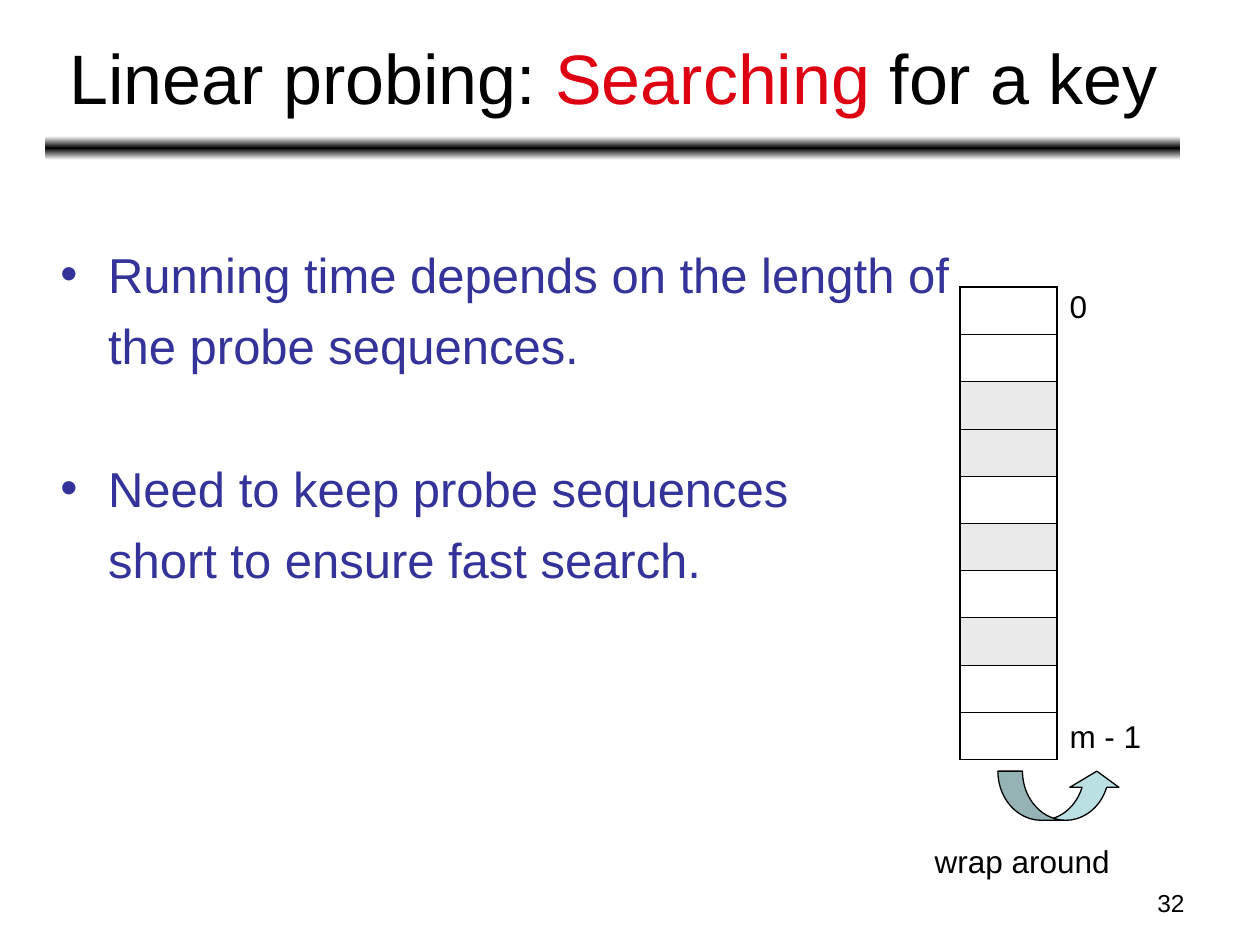
from copy import deepcopy
from lxml.etree import SubElement
from pptx import Presentation
from pptx.dml.color import RGBColor
from pptx.enum.shapes import MSO_SHAPE
from pptx.enum.text import MSO_ANCHOR, PP_ALIGN
from pptx.oxml.ns import qn
from pptx.util import Inches, Pt

# Content
TITLE = [("Linear probing: ", "000000"), ("Searching", "DD0111"), (" for a key", "000000")]
BULLETS = ["Running time depends on the length of\vthe probe sequences.",
           "Need to keep probe sequences\vshort to ensure fast search."]
SLOTS, USED = 10, {2, 3, 5, 7}
NUMBER = "32"

# Hash table grid and text pitch
LEFT, TOP, WIDE, ROW = 7.62, 2.28, 0.77, 0.375
PITCH = Pt(40.8)
LABELS = [("0", LEFT + WIDE, TOP - 0.05, 0.34),
          ("m - 1", LEFT + WIDE, TOP + 9 * ROW - 0.01, 0.77),
          ("wrap around", 7.32, 6.63, 1.59)]


def color(code):
    return RGBColor.from_string(code)


def box(*at):
    return [Inches(v) for v in at]


def style(para, size, code="000000", align=PP_ALIGN.LEFT):
    para.alignment = align
    para.font.name, para.font.size = "Arial", Pt(size)
    para.font.color.rgb = color(code)


def label(slide, text, at, size, align=PP_ALIGN.LEFT, wrap=False):
    frame = slide.shapes.add_textbox(*box(*at)).text_frame
    frame.word_wrap = wrap
    frame.text = text
    style(frame.paragraphs[0], size, align=align)


def border(cell, side, width):
    line = SubElement(cell._tc.get_or_add_tcPr(), qn("a:ln" + side), w=str(Pt(width)))
    fill = SubElement(line, qn("a:solidFill"))
    SubElement(fill, qn("a:srgbClr"), val="000000")


def bar(slide):
    shape = slide.shapes.add_shape(MSO_SHAPE.ROUNDED_RECTANGLE, *box(0.36, 1.08, 9.01, 0.19))
    shape.shadow.inherit = False
    shape.line.fill.background()
    shape.fill.gradient()
    shape.fill.gradient_angle = 90
    stops = shape._element.spPr.find(qn("a:gradFill")).find(qn("a:gsLst"))
    stops.insert(1, deepcopy(stops[0]))
    for stop, (pos, code) in zip(shape.fill.gradient_stops,
                                 [(0, "FFFFFF"), (0.5, "000000"), (1, "FFFFFF")]):
        stop.position, stop.color.rgb = pos, color(code)


def heading(slide):
    title = slide.shapes.title
    title.left, title.top, title.width, title.height = box(0.37, 0.11, 9, 0.99)
    title.text_frame.vertical_anchor = MSO_ANCHOR.MIDDLE
    para = title.text_frame.paragraphs[0]
    style(para, 40, align=PP_ALIGN.CENTER)
    for text, code in TITLE:
        run = para.add_run()
        run.text = text
        run.font.color.rgb = color(code)


def body(slide):
    frame = slide.shapes.add_textbox(*box(0.38, 1.79, 7.52, 3)).text_frame
    frame.word_wrap = True
    for i, text in enumerate(BULLETS):
        para = frame.add_paragraph() if i else frame.paragraphs[0]
        para.text = text
        para.line_spacing = PITCH
        para.space_before = PITCH if i else Pt(0)
        props = para._p.get_or_add_pPr()
        props.set("marL", str(Inches(0.38)))
        props.set("indent", str(-Inches(0.38)))
        SubElement(props, qn("a:buFont"), typeface="Arial")
        SubElement(props, qn("a:buChar"), char="•")
        style(para, 28, "333399")


def slots(slide):
    table = slide.shapes.add_table(SLOTS, 1, *box(LEFT, TOP, WIDE, SLOTS * ROW)).table
    table.first_row = table.horz_banding = False
    for i in range(SLOTS):
        cell = table.cell(i, 0)
        cell.text_frame.paragraphs[0].font.size = Pt(12)
        thick, thin = 1.08, 0.45
        for side, width in [("L", thick), ("R", thick), ("T", thin if i else thick),
                            ("B", thin if i < SLOTS - 1 else thick)]:
            border(cell, side, width)
        if i in USED:
            cell.fill.solid()
            cell.fill.fore_color.rgb = color("EAEAEA")
        else:
            cell.fill.background()


def arrow(slide):
    shape = slide.shapes.add_shape(MSO_SHAPE.CURVED_UP_ARROW, *box(7.92, 6.12, 0.98, 0.39))
    for i, share in enumerate([0.5, 1, 0.33]):
        shape.adjustments[i] = share
    shape.shadow.inherit = False
    shape.fill.solid()
    shape.fill.fore_color.rgb = color("BBE0E3")
    shape.line.color.rgb = color("000000")
    shape.line.width = Pt(0.75)


def main():
    deck = Presentation()
    deck.slide_width, deck.slide_height = box(10, 7.5)
    slide = deck.slides.add_slide(deck.slide_layouts[5])
    bar(slide)
    heading(slide)
    body(slide)
    slots(slide)
    arrow(slide)
    for text, left, top, width in LABELS:
        label(slide, text, (left, top, width, 0.4), 18)
    label(slide, NUMBER, (7.17, 7, 2.33, 0.35), 14, PP_ALIGN.RIGHT, True)
    deck.save("out.pptx")


if __name__ == "__main__":
    main()
